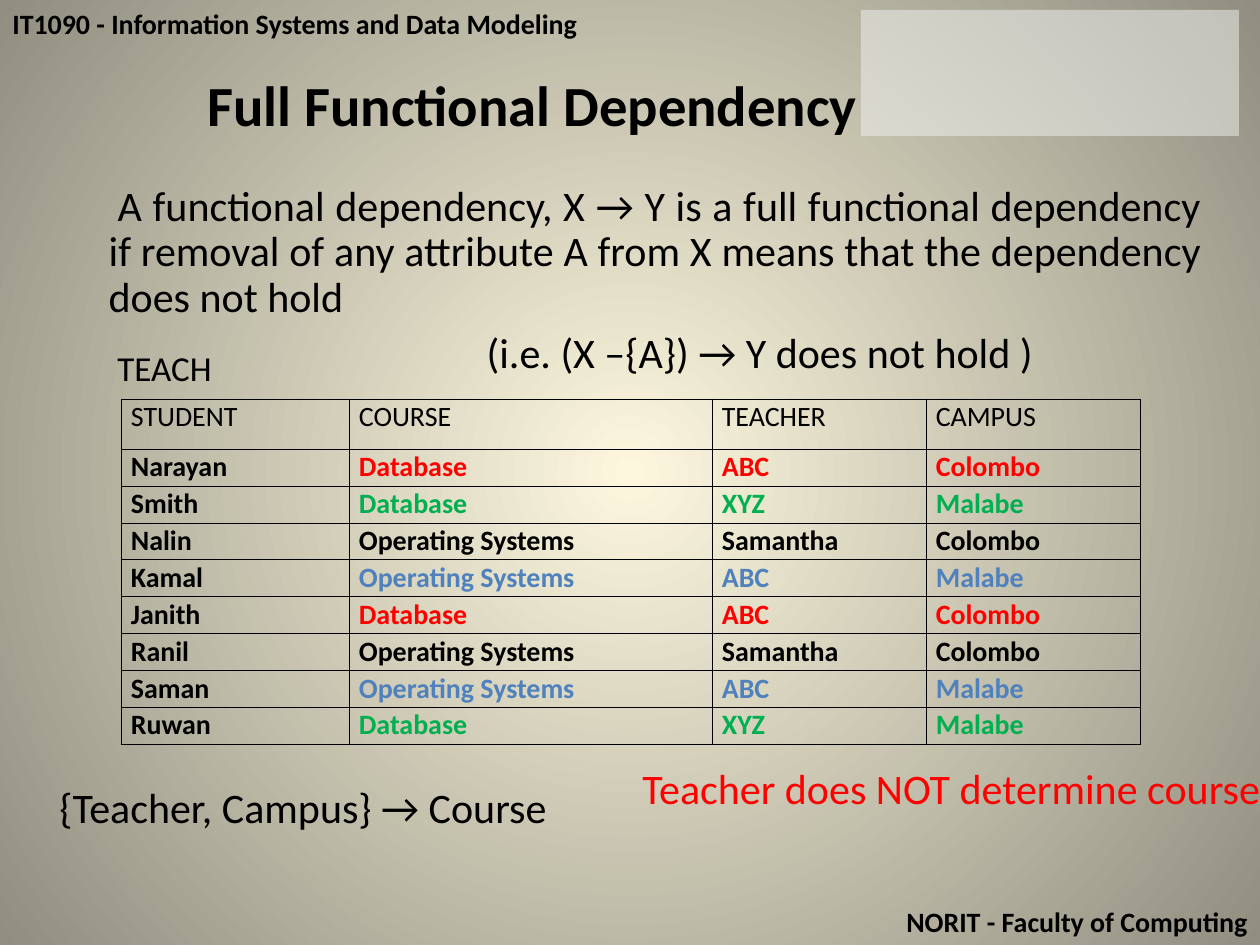
from lxml.etree import SubElement
from pptx import Presentation
from pptx.dml.color import RGBColor
from pptx.enum.shapes import MSO_SHAPE
from pptx.enum.text import MSO_ANCHOR, MSO_AUTO_SIZE, PP_ALIGN
from pptx.oxml.ns import qn
from pptx.util import Inches, Pt

BLACK = RGBColor(0x00, 0x00, 0x00)
RED = RGBColor(0xFF, 0x00, 0x00)
GREEN = RGBColor(0x00, 0xB0, 0x50)
BLUE = RGBColor(0x4F, 0x81, 0xBD)
PANEL = RGBColor(0xF2, 0xF2, 0xF2)
CENTER_GLOW = RGBColor(0xFC, 0xF7, 0xDD)
EDGE_SHADE = RGBColor(0x91, 0x8E, 0x81)

HEADINGS = ("STUDENT", "COURSE", "TEACHER", "CAMPUS")
DATABASE_ABC = ("Database", "ABC", "Colombo", RED)
DATABASE_XYZ = ("Database", "XYZ", "Malabe", GREEN)
SYSTEMS_SAMANTHA = ("Operating Systems", "Samantha", "Colombo", BLACK)
SYSTEMS_ABC = ("Operating Systems", "ABC", "Malabe", BLUE)
ENROLMENTS = (
    ("Narayan", DATABASE_ABC),
    ("Smith", DATABASE_XYZ),
    ("Nalin", SYSTEMS_SAMANTHA),
    ("Kamal", SYSTEMS_ABC),
    ("Janith", DATABASE_ABC),
    ("Ranil", SYSTEMS_SAMANTHA),
    ("Saman", SYSTEMS_ABC),
    ("Ruwan", DATABASE_XYZ),
)


def px(length):
    return Inches(length / 126)


def write(paragraph, text, size=16, color=BLACK, bold=False, align=PP_ALIGN.LEFT,
          spacing=None, before=0, left=0, first=0):
    paragraph.alignment = align
    paragraph.line_spacing = spacing
    paragraph.space_before = Pt(before)
    properties = paragraph._p.get_or_add_pPr()
    properties.set("marL", str(px(left)))
    properties.set("indent", str(px(first)))
    SubElement(properties, qn("a:buNone"))
    run = paragraph.add_run()
    run.text = text
    run.font.name = "Calibri"
    run.font.size = Pt(size)
    run.font.bold = bold
    run.font.color.rgb = color


class LectureSlide:
    """Holds the lecture style and the slide being filled."""

    def __init__(self, deck):
        self.slide = deck.slides.add_slide(deck.slide_layouts[1])
        self.border_width = Pt(0.45)

    def background(self, inner, outer):
        fill = self.slide.background.fill
        fill.gradient()
        for stop, color, position in zip(fill.gradient_stops, (inner, outer), (0, 1)):
            stop.color.rgb = color
            stop.position = position
        gradient = self.slide._element.find(".//" + qn("a:gradFill"))
        gradient.remove(gradient.find(qn("a:lin")))
        circle = SubElement(gradient, qn("a:path"), path="circle")
        SubElement(circle, qn("a:fillToRect"), l="50000", t="50000", r="50000", b="50000")

    def panel(self, left, top, width, height, color, alpha):
        panel = self.slide.shapes.add_shape(
            MSO_SHAPE.RECTANGLE, px(left), px(top), px(width), px(height))
        panel.shadow.inherit = False
        panel.fill.solid()
        panel.fill.fore_color.rgb = color
        panel.line.fill.background()
        tint = panel._element.spPr.find(".//" + qn("a:srgbClr"))
        SubElement(tint, qn("a:alpha"), val=str(alpha * 1000))

    def placeholder(self, index, left, top, width, height):
        holder = self.slide.placeholders[index]
        holder.left, holder.top = px(left), px(top)
        holder.width, holder.height = px(width), px(height)
        frame = holder.text_frame
        frame.word_wrap = True
        frame.auto_size = MSO_AUTO_SIZE.NONE
        frame.vertical_anchor = MSO_ANCHOR.TOP
        return frame

    def label(self, left, top, width, height, text, wrap=True, **style):
        frame = self.slide.shapes.add_textbox(
            px(left), px(top), px(width), px(height)).text_frame
        frame.word_wrap = wrap
        write(frame.paragraphs[0], text, **style)

    def cell(self, cell, text, **style):
        cell.margin_left = cell.margin_right = px(10)
        cell.margin_top = cell.margin_bottom = 0
        properties = cell._tc.get_or_add_tcPr()
        for side in ("lnL", "lnR", "lnT", "lnB"):
            border = SubElement(properties, qn(f"a:{side}"), w=str(self.border_width))
            SubElement(SubElement(border, qn("a:solidFill")), qn("a:srgbClr"), val=str(BLACK))
        cell.fill.background()
        write(cell.text_frame.paragraphs[0], text, spacing=1.02, **style)

    def table(self, left, top, widths, heights):
        table = self.slide.shapes.add_table(
            len(heights), len(widths), px(left), px(top),
            px(sum(widths)), px(sum(heights))).table
        table.first_row = table.horz_banding = False
        for column, width in zip(table.columns, widths):
            column.width = px(width)
        for row, height in zip(table.rows, heights):
            row.height = px(height)
        return table


def main():
    deck = Presentation()
    deck.slide_width, deck.slide_height = px(1260), px(945)
    lecture = LectureSlide(deck)
    lecture.background(CENTER_GLOW, EDGE_SHADE)
    lecture.label(0, 0, 1260, 47, "IT1090 - Information Systems and Data Modeling", bold=True)
    lecture.label(0, 898, 1260, 47, "NORIT - Faculty of Computing",
                  bold=True, align=PP_ALIGN.RIGHT)
    lecture.panel(861, 10, 378, 126, PANEL, alpha=50)

    title = lecture.placeholder(0, 44, 63, 977, 110)
    write(title.paragraphs[0], "Full Functional Dependency", size=32.4,
          bold=True, align=PP_ALIGN.CENTER)

    definition = lecture.placeholder(1, 48, 179, 1166, 242)
    body_style = dict(size=24, align=PP_ALIGN.JUSTIFY, spacing=0.9, before=6)
    write(definition.paragraphs[0],
          "A functional dependency, X → Y is a full functional dependency if removal of "
          "any attribute A from X means that the dependency does not hold",
          left=48, first=9, **body_style)
    write(definition.add_paragraph(), "(i.e. (X –{A}) → Y does not hold )",
          left=426, **body_style)

    lecture.label(105, 340, 126, 55, "TEACH", wrap=False, size=20)
    teach = lecture.table(121, 399, (228, 363, 214, 214), [50] + [37] * len(ENROLMENTS))
    for column, heading in enumerate(HEADINGS):
        lecture.cell(teach.cell(0, column), heading)
    for row, (student, (*enrolment, color)) in enumerate(ENROLMENTS, 1):
        lecture.cell(teach.cell(row, 0), student, bold=True)
        for column, value in enumerate(enrolment, 1):
            lecture.cell(teach.cell(row, column), value, bold=True, color=color)

    lecture.label(47, 775, 651, 63, "{Teacher, Campus} → Course", size=24)
    lecture.label(630, 756, 651, 113, "Teacher does NOT determine course", size=24, color=RED)
    deck.save("out.pptx")


if __name__ == "__main__":
    main()
